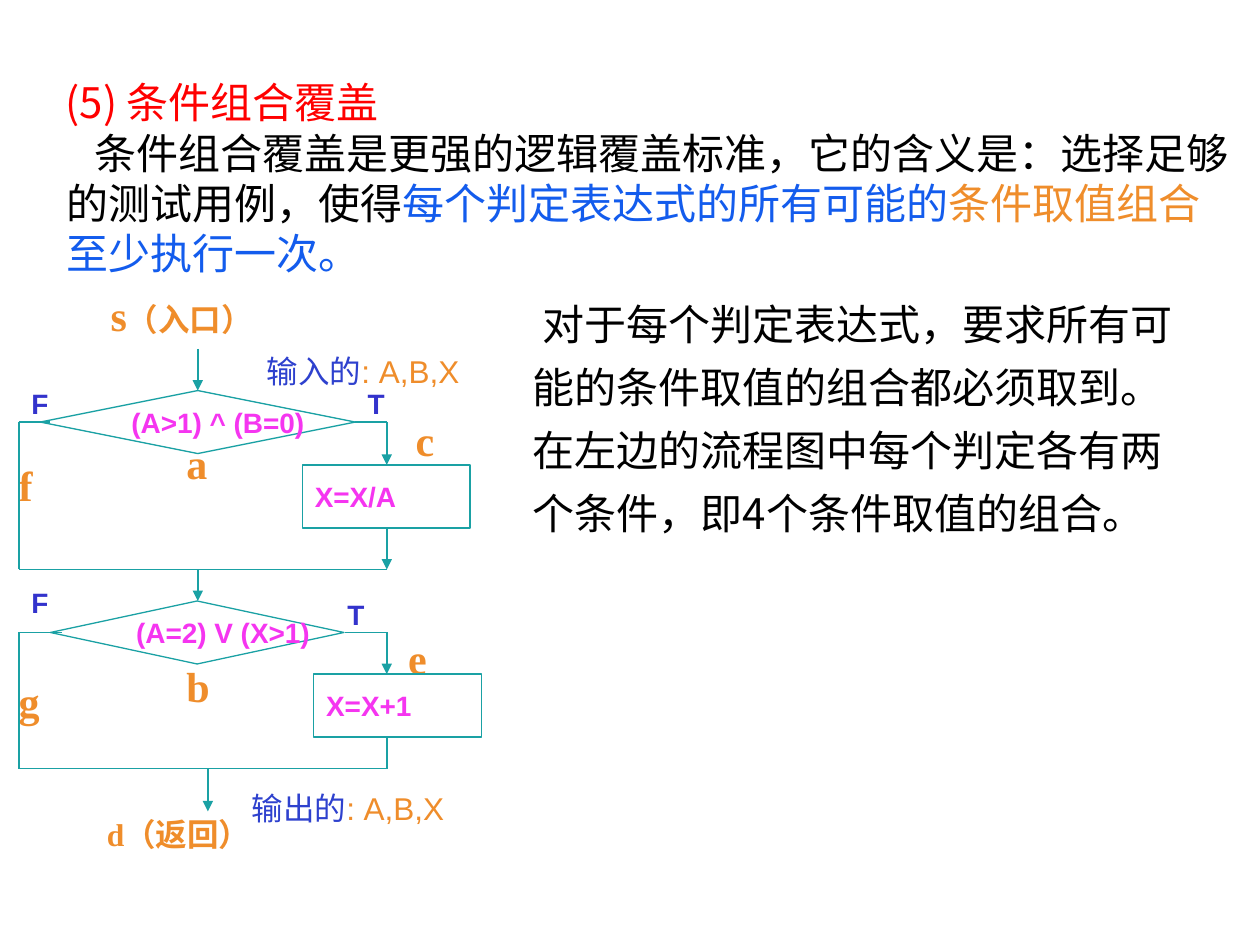
from dataclasses import dataclass

from lxml import etree
from pptx import Presentation
from pptx.dml.color import RGBColor
from pptx.enum.shapes import MSO_CONNECTOR, MSO_SHAPE
from pptx.enum.text import MSO_ANCHOR, MSO_AUTO_SIZE, PP_ALIGN
from pptx.oxml.ns import qn
from pptx.util import Inches, Pt

LEFT = PP_ALIGN.LEFT
TOP, MIDDLE = MSO_ANCHOR.TOP, MSO_ANCHOR.MIDDLE
NO_FIT = MSO_AUTO_SIZE.NONE
STRAIGHT = MSO_CONNECTOR.STRAIGHT
DIAMOND, BOX = MSO_SHAPE.FLOWCHART_DECISION, MSO_SHAPE.RECTANGLE
CJK, SANS, SERIF = "Noto Sans CJK SC", "Arial", "Times New Roman"
COLORS = {
    "heading": "FF0000", "body": "000000", "emphasis": "135CED",
    "accent": "EF8D2B", "code": "F535F0", "branch": "3333CC",
    "data": "2E41CE", "line": "1AA1A4", "paper": "FFFFFF",
}


@dataclass
class Span:
    text: str
    color: str
    size: float = 24
    font: str = CJK
    bold: bool = False


@dataclass
class Label:
    area: tuple[float, float, float, float]
    spans: list[Span]
    wrap: bool = False
    anchor: MSO_ANCHOR = TOP


@dataclass
class Step:
    kind: MSO_SHAPE
    area: tuple[float, float, float, float]
    code: str


@dataclass
class Flow:
    start: tuple[float, float]
    end: tuple[float, float]
    arrow: bool = False


def rgb(name: str) -> RGBColor:
    return RGBColor.from_string(COLORS[name])


def inches(values: tuple) -> list:
    return [Inches(value) for value in values]


def write(shape, spans: list[Span], wrap: bool = True, anchor=TOP,
          spacing: float = 1.0, margin: float = 0, indent: float = 0) -> None:
    frame = shape.text_frame
    frame_format = {"auto_size": NO_FIT, "word_wrap": wrap, "vertical_anchor": anchor}
    for name, value in frame_format.items():
        setattr(frame, name, value)
    paragraph = frame.paragraphs[0]
    paragraph_format = {"alignment": LEFT, "line_spacing": spacing, "space_before": Pt(0)}
    for name, value in paragraph_format.items():
        setattr(paragraph, name, value)
    properties = paragraph._p.get_or_add_pPr()
    properties.set("marL", str(Inches(margin)))
    properties.set("indent", str(Inches(indent)))
    for span in spans:
        run = paragraph.add_run()
        run.text = span.text
        font_format = {"name": span.font, "size": Pt(span.size), "bold": span.bold}
        for name, value in font_format.items():
            setattr(run.font, name, value)
        run.font.color.rgb = rgb(span.color)
        east_asian = etree.SubElement(run._r.get_or_add_rPr(), qn("a:ea"))
        east_asian.set("typeface", CJK)


def add_label(slide, label: Label, **layout: float) -> None:
    box = slide.shapes.add_textbox(*inches(label.area))
    write(box, label.spans, label.wrap, label.anchor, **layout)


def add_step(slide, step: Step) -> None:
    shape = slide.shapes.add_shape(step.kind, *inches(step.area))
    shape.shadow.inherit = False
    shape.fill.solid()
    shape.fill.fore_color.rgb = rgb("paper")
    shape.line.color.rgb = rgb("line")
    shape.line.width = Pt(0.75)
    write(shape, [Span(step.code, "code", 16, SANS, True)], wrap=False, anchor=MIDDLE)


def add_flow(slide, flow: Flow) -> None:
    connector = slide.shapes.add_connector(STRAIGHT, *inches(flow.start + flow.end))
    connector.line.color.rgb = rgb("line")
    connector.line.width = Pt(1)
    if flow.arrow:
        etree.SubElement(connector.line._get_or_add_ln(), qn("a:tailEnd")).set("type", "triangle")
    etree.SubElement(connector._element.spPr, qn("a:effectLst"))


def letter(text: str, left: float, top: float) -> Label:
    return Label((left, top, 0.39, 0.5), [Span(text, "accent", 24, SERIF, True)])


def branch(text: str, left: float, top: float) -> Label:
    return Label((left, top, 0.34, 0.37), [Span(text, "branch", 16, SANS, True)])


def variables(role: str, left: float, top: float) -> Label:
    spans = [Span(role, "data", 18), Span(": A,B,X", "accent", 18, SANS)]
    return Label((left, top, 1.76, 0.42), spans, anchor=MIDDLE)


def decision_flows(tips: tuple[float, float], top: float, box_top: float,
                   join: float, arrow_at_join: bool) -> list[Flow]:
    """Lines from the two tips of a decision down to where its branches join."""
    return [
        Flow((FALSE_X, top), (tips[0], top)),
        Flow((FALSE_X, top), (FALSE_X, join)),
        Flow((tips[1], top), (TRUE_X, top)),
        Flow((TRUE_X, top), (TRUE_X, box_top), True),
        Flow((TRUE_X, box_top + 0.5), (TRUE_X, join), arrow_at_join),
        Flow((FALSE_X, join), (TRUE_X, join)),
    ]


FALSE_X, TRUE_X, CENTER_X = 0.15, 3.07, 1.57

HEADING = [Span("(5) 条件组合覆盖", "heading")]
DEFINITION = Label((0.12, 0.96, 9.76, 1.32), [
    Span("条件组合覆盖是更强的逻辑覆盖标准，它的含义是：选择足够的测试用例，使得", "body"),
    Span("每个判定表达式的所有可能的", "emphasis"),
    Span("条件取值组合", "accent"),
    Span("至少执行一次。", "emphasis"),
], wrap=True)
EXPLANATION = Label((4.13, 2.22, 5.51, 2.12), [
    Span("对于每个判定表达式，要求所有可能的条件取值的组合都必须取到。"
         "在左边的流程图中每个判定各有两个条件，即4个条件取值的组合。", "body"),
], wrap=True)
PATH_LABELS = [
    letter("f", 0.05, 3.6), letter("g", 0.05, 5.31), letter("b", 1.38, 5.19),
    letter("a", 1.38, 3.42), letter("c", 3.2, 3.24), letter("e", 3.14, 4.97),
    Label((0.78, 2.25, 1.53, 0.51), [Span("s", "accent", 24, SERIF, True),
                                     Span("（入口）", "accent", 18, SERIF, True)], wrap=True),
    Label((0.75, 6.42, 1.8, 0.4), [Span("d（返回）", "accent", 18, SERIF, True)], wrap=True),
]
STEPS = [
    Step(DIAMOND, (0.32, 3.1, 2.5, 0.5), "(A>1) ^ (B=0)"),
    Step(BOX, (2.4, 3.69, 1.33, 0.5), "X=X/A"),
    Step(DIAMOND, (0.4, 4.77, 2.33, 0.5), "(A=2) V (X>1)"),
    Step(BOX, (2.49, 5.35, 1.33, 0.5), "X=X+1"),
]
FLOWS = [
    Flow((CENTER_X, 2.77), (CENTER_X, 3.1), True),
    *decision_flows((0.4, 2.82), 3.35, 3.69, 4.52, True),
    Flow((CENTER_X, 4.52), (CENTER_X, 4.77), True),
    *decision_flows((0.49, 2.74), 5.02, 5.35, 6.1, False),
    Flow((1.65, 6.1), (1.65, 6.44), True),
]
FRONT_LABELS = [
    branch("T", 2.82, 3.02), branch("F", 0.15, 3.02),
    branch("T", 2.66, 4.69), branch("F", 0.15, 4.6),
    variables("输出的", 1.9, 6.2), variables("输入的", 2.02, 2.73),
]


def main() -> None:
    presentation = Presentation()
    presentation.slide_width, presentation.slide_height = inches((10, 7.5))
    slide = presentation.slides.add_slide(presentation.slide_layouts[5])
    title = slide.shapes.title
    for name, value in zip(("left", "top", "width", "height"), (0.12, 0.44, 9.76, 0.57)):
        setattr(title, name, Inches(value))
    write(title, HEADING, spacing=1.3, margin=0.31, indent=-0.01)
    add_label(slide, DEFINITION, margin=0.31, indent=0.22)
    add_label(slide, EXPLANATION, spacing=1.25, indent=0.08)
    for label in PATH_LABELS:
        add_label(slide, label)
    for step in STEPS:
        add_step(slide, step)
    for flow in FLOWS:
        add_flow(slide, flow)
    for label in FRONT_LABELS:
        add_label(slide, label)
    presentation.save("out.pptx")


if __name__ == "__main__":
    main()
